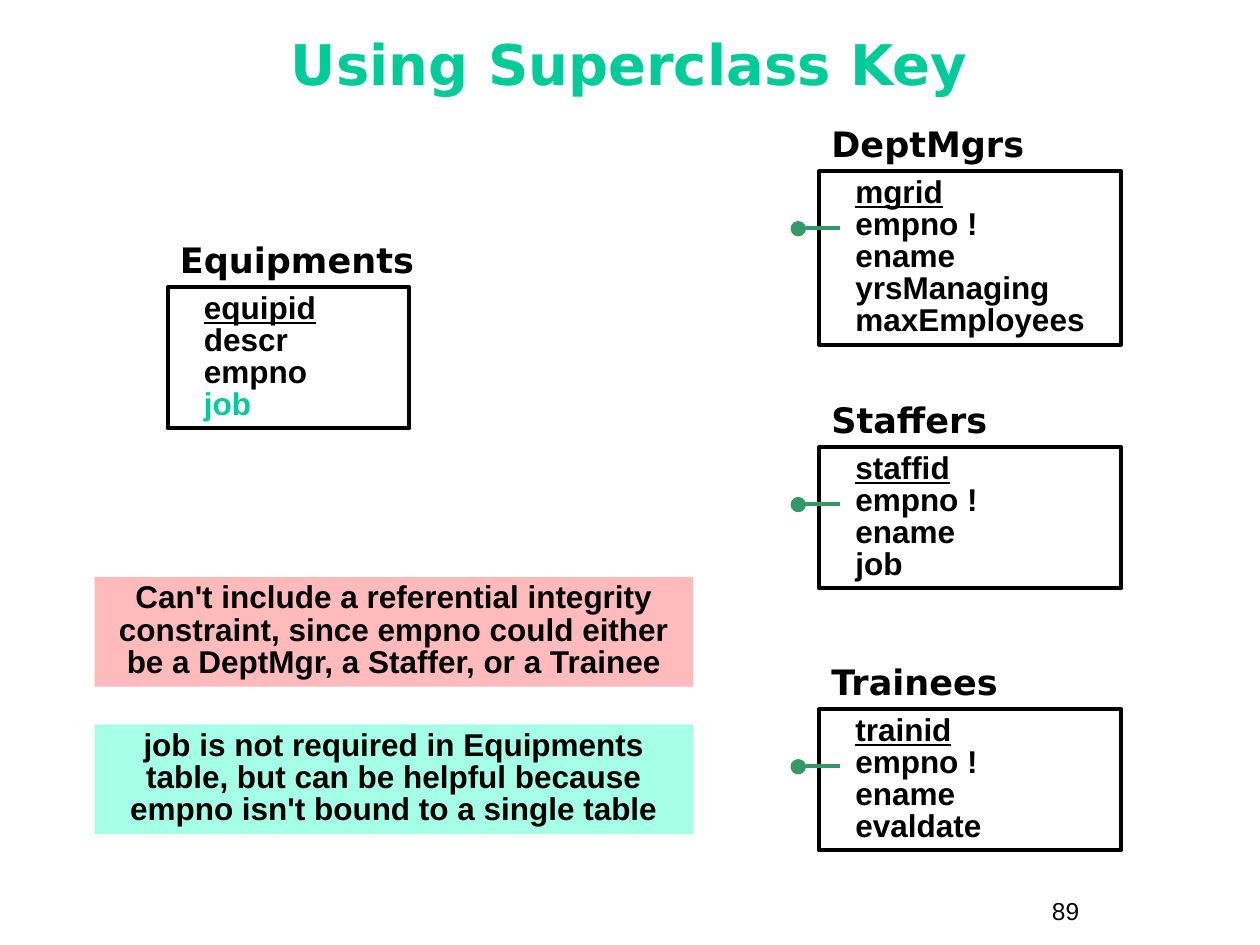
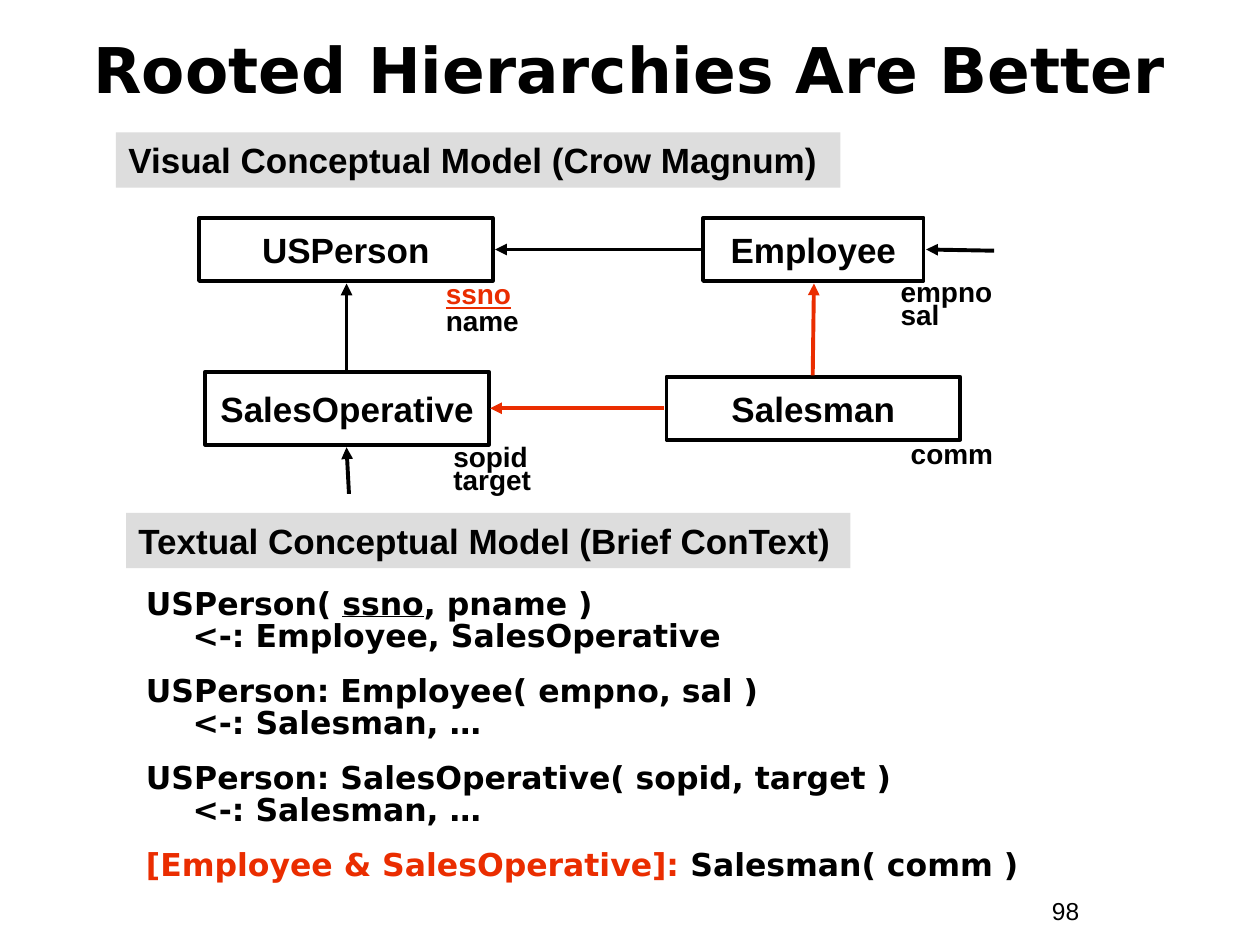
from lxml import etree
from pptx import Presentation
from pptx.dml.color import RGBColor
from pptx.enum.shapes import MSO_CONNECTOR as CONN, MSO_SHAPE as SHAPE
from pptx.enum.text import MSO_ANCHOR as ANCHOR, PP_ALIGN as ALIGN
from pptx.oxml.ns import qn
from pptx.util import Inches, Pt

BODY, HEADING = "Arial", "DejaVu Sans"
BLACK, MINT, GREEN, RED = "000000", "00CC99", "339966", "EA2D00"
PINK, AQUA, GRAY = "FFBBBB", "A5FFE7", "DDDDDD"
LINE_WIDTH = 2.25


def rgb(color):
    """Turn a hex string into a colour."""
    return RGBColor.from_string(color)


def add_run(p, text, font=BODY, size=18, color=BLACK, bold=True, underline=False):
    """Add one formatted run to a paragraph."""
    r = p.add_run()
    r.text = text
    r.font.name, r.font.size = font, Pt(size)
    r.font.bold, r.font.underline = bold, underline
    r.font.color.rgb = rgb(color)


def write(tf, paragraphs, align=ALIGN.LEFT, anchor=ANCHOR.TOP, spacing=1.0,
          gap=0, left=0, hang=0, wrap=True, **font):
    """Fill a text frame; a paragraph is a string or a list of (text, format) runs."""
    tf.word_wrap, tf.vertical_anchor = wrap, anchor
    if isinstance(paragraphs, str):
        paragraphs = [paragraphs]
    for i, runs in enumerate(paragraphs):
        p = tf.add_paragraph() if i else tf.paragraphs[0]
        p.alignment, p.line_spacing = align, spacing
        p.space_before = Pt(gap if i else 0)
        if left:
            pPr = p._p.get_or_add_pPr()
            pPr.set("marL", str(Inches(left)))
            pPr.set("indent", str(Inches(hang)))
        for text, extra in [(runs, {})] if isinstance(runs, str) else runs:
            for j, line in enumerate(text.split("\n")):
                if j:
                    p.add_line_break()
                add_run(p, line, **{**font, **extra})


def add_text(s, box, paragraphs, **fmt):
    """Place a text box."""
    tb = s.shapes.add_textbox(*map(Inches, box))
    write(tb.text_frame, paragraphs, **fmt)


def add_block(s, box, kind=SHAPE.RECTANGLE, fill=None, line=None):
    """Place a flat preset shape and return it."""
    sp = s.shapes.add_shape(kind, *map(Inches, box))
    sp.shadow.inherit = False
    if fill:
        sp.fill.solid()
        sp.fill.fore_color.rgb = rgb(fill)
    else:
        sp.fill.background()
    if line:
        sp.line.color.rgb = rgb(line)
        sp.line.width = Pt(LINE_WIDTH)
    else:
        sp.line.fill.background()
    return sp


def add_line(s, start, end, color=BLACK, arrow=False):
    """Draw a line, with an optional arrowhead at its end."""
    cn = s.shapes.add_connector(CONN.STRAIGHT, *map(Inches, (*start, *end)))
    cn.line.color.rgb = rgb(color)
    cn.line.width = Pt(LINE_WIDTH)
    if arrow:
        etree.SubElement(cn.line._get_or_add_ln(), qn("a:tailEnd"), type="triangle")
    etree.SubElement(cn._element.spPr, qn("a:effectLst"))


def start_slide(prs, title, box, number, **fmt):
    """Add a blank slide with its title and page number."""
    s = prs.slides.add_slide(prs.slide_layouts[6])
    add_text(s, (8.25, 7.06, 0.92, 0.34), number, size=14, bold=False)
    add_text(s, box, title, font=HEADING, align=ALIGN.CENTER, anchor=ANCHOR.MIDDLE, **fmt)
    return s


def add_relation(s, x, y, w, name, key, fields):
    """Draw a named relation box whose key is underlined."""
    add_text(s, (x, y - 0.44, 2.15, 0.44), name, font=HEADING, size=20)
    rows = [[(key, {"underline": True})], *fields]
    sp = add_block(s, (x, y, w, 0.1 + 0.255 * len(rows)), line=BLACK)
    write(sp.text_frame, rows, spacing=0.85, left=0.19)


def add_key_mark(s, x, y):
    """Draw the dotted link beside the second field of a relation box."""
    add_block(s, (x - 0.21, y + 0.41, 0.09, 0.09), SHAPE.OVAL, GREEN, GREEN)
    add_line(s, (x - 0.13, y + 0.45), (x + 0.17, y + 0.45), GREEN)


def add_note(s, y, fill, text):
    """Draw a centred note on a coloured block."""
    sp = add_block(s, (0.75, y, 4.75, 0.87), fill=fill)
    write(sp.text_frame, text, align=ALIGN.CENTER, spacing=0.85)


def add_band(s, x, y, text):
    """Draw a grey section band."""
    sp = add_block(s, (x, y, 5.75, 0.44), fill=GRAY)
    write(sp.text_frame, text, size=20)


def add_entity(s, box, name):
    """Draw an entity box with its name in the middle."""
    sp = add_block(s, box, line=BLACK)
    write(sp.text_frame, name, size=20, align=ALIGN.CENTER, anchor=ANCHOR.MIDDLE, wrap=False)


def superclass_key(prs):
    """Build the slide on the superclass key."""
    s = start_slide(prs, "Using Superclass Key", (0.33, 0.17, 9.33, 0.75), "89",
                    size=32, color=MINT, spacing=0.85)
    subclasses = [
        (1.36, "DeptMgrs", "mgrid", ["yrsManaging", "maxEmployees"]),
        (3.55, "Staffers", "staffid", ["job"]),
        (5.63, "Trainees", "trainid", ["evaldate"]),
    ]
    for y, name, key, own in subclasses:
        add_relation(s, 6.5, y, 2.4, name, key, ["empno !", "ename", *own])
        add_key_mark(s, 6.5, y)
    add_relation(s, 1.33, 2.28, 1.92, "Equipments", "equipid",
                 ["descr", "empno", [("job", {"color": MINT})]])
    add_note(s, 4.58, PINK, "Can't include a referential integrity constraint, since "
             "empno could either be a DeptMgr, a Staffer, or a Trainee")
    add_note(s, 5.75, AQUA, "job is not required in Equipments table, but can be "
             "helpful because empno isn't bound to a single table")


def add_hierarchy(s):
    """Draw the entity diagram with its arrows and attributes."""
    add_entity(s, (1.58, 1.73, 2.33, 0.5), "USPerson")
    add_entity(s, (5.58, 1.73, 1.75, 0.5), "Employee")
    add_entity(s, (1.63, 2.95, 2.25, 0.58), "SalesOperative")
    add_entity(s, (5.29, 2.99, 2.33, 0.5), "Salesman")
    arrows = [
        ((5.57, 1.98), (3.93, 1.98), BLACK),
        ((7.89, 1.99), (7.35, 1.98), BLACK),
        ((2.75, 2.94), (2.75, 2.25), BLACK),
        ((2.77, 3.92), (2.75, 3.55), BLACK),
        ((5.27, 3.24), (3.89, 3.24), RED),
        ((6.45, 2.98), (6.46, 2.25), RED),
    ]
    for start, end, color in arrows:
        add_line(s, start, end, color, arrow=True)
    ssno = [("ssno", {"color": RED, "underline": True})]
    attributes = [
        ((3.44, 2.2, 1.27, 0.53), [ssno, "name"], 0.8),
        ((7.05, 2.2, 1.27, 0.48), ["empno", "sal"], 0.7),
        ((3.5, 3.51, 1.25, 0.48), "sopid\ntarget", 0.7),
        ((7.13, 3.49, 1.27, 0.29), "comm", 0.7),
    ]
    for box, names, spacing in attributes:
        add_text(s, box, names, size=16, spacing=spacing)


def rooted_hierarchies(prs):
    """Build the slide on rooted hierarchies."""
    s = start_slide(prs, "Rooted Hierarchies Are Better", (0.33, 0.08, 9.33, 0.92), "98", size=36)
    add_band(s, 0.92, 1.05, "Visual Conceptual Model (Crow Magnum)")
    add_hierarchy(s)
    add_band(s, 1, 4.07, "Textual Conceptual Model (Brief ConText)")
    add_text(s, (0.92, 4.63, 7.58, 2.49), [
        [("USPerson( ", {}), ("ssno", {"underline": True}),
         (", pname )\n<-: Employee, SalesOperative", {})],
        "USPerson: Employee( empno, sal )\n<-: Salesman, …",
        "USPerson: SalesOperative( sopid, target )\n<-: Salesman, …",
        [("[Employee & SalesOperative]:", {"color": RED}), (" Salesman( comm )", {})],
    ], font=HEADING, spacing=0.85, gap=13, left=0.51, hang=-0.37)


def main():
    """Build and save the presentation."""
    prs = Presentation()
    prs.slide_width, prs.slide_height = Inches(10), Inches(7.5)
    superclass_key(prs)
    rooted_hierarchies(prs)
    prs.save("out.pptx")


if __name__ == "__main__":
    main()
